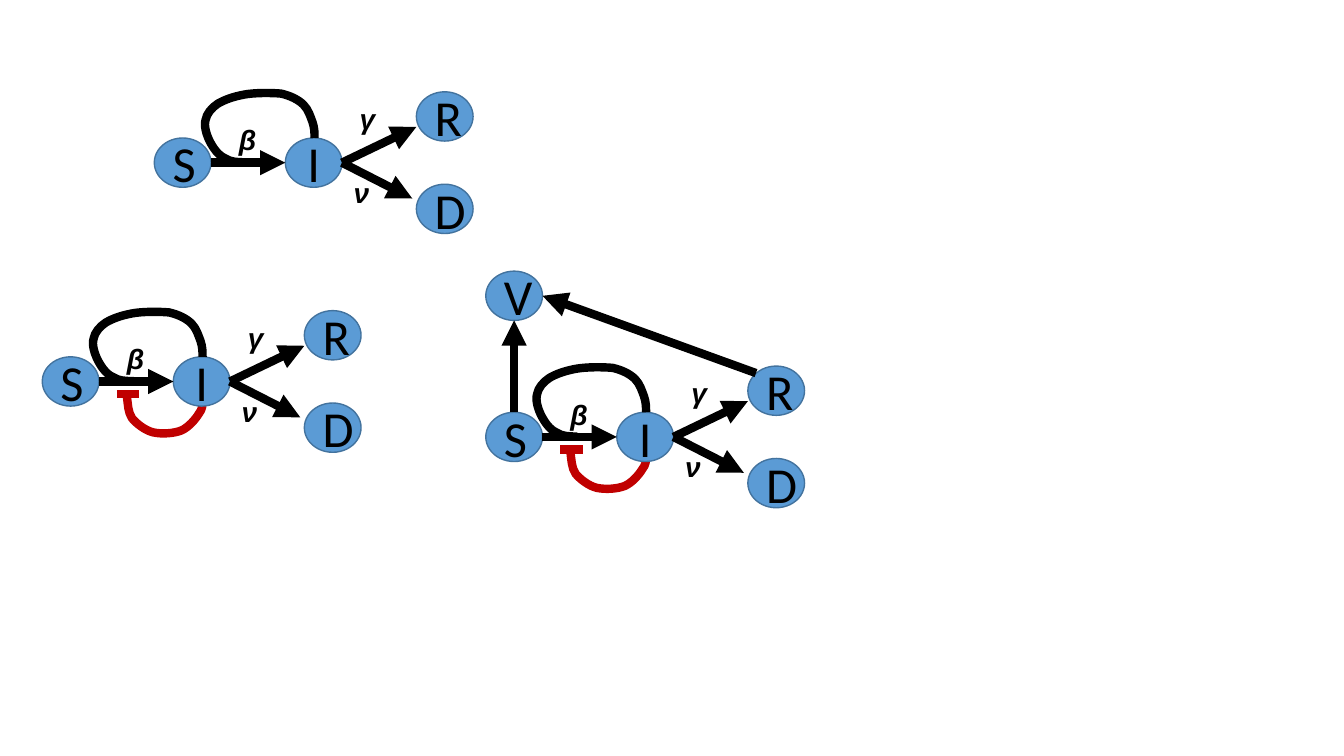
from lxml import etree
from pptx import Presentation
from pptx.dml.color import RGBColor
from pptx.enum.shapes import MSO_CONNECTOR, MSO_SHAPE
from pptx.enum.text import MSO_ANCHOR, MSO_AUTO_SIZE, PP_ALIGN
from pptx.oxml.ns import qn
from pptx.util import Pt

STRAIGHT = MSO_CONNECTOR.STRAIGHT
OVAL = MSO_SHAPE.OVAL
MIDDLE = MSO_ANCHOR.MIDDLE
FIT_SHAPE = MSO_AUTO_SIZE.SHAPE_TO_FIT_TEXT
CENTER = PP_ALIGN.CENTER

BLACK = RGBColor(0x00, 0x00, 0x00)
RED = RGBColor(0xC0, 0x00, 0x00)
BLUE = RGBColor(0x5B, 0x9B, 0xD5)
DARK_BLUE = RGBColor(0x43, 0x73, 0x9E)

# Layout of one model, in points from the top left of its S compartment
NODE_W, NODE_H = 40.5, 35.2
STEP_X, BRANCH_Y = 93.6, 33
MID_Y = NODE_H / 2
VACCINATED_Y = -100.8

# Bezier curves: a start point, then three points per segment
INFECTION_LOOP = [
    (65.5, 17.3),
    (59.8, 17.3), (54.7, 17.3), (50.4, 14.4),
    (45.4, 12.2), (41.8, 6.5), (39.6, 2.2),
    (37.4, -2.2), (35.3, -8.6), (36.7, -13),
    (37.4, -17.3), (41, -21.6), (45.4, -24.5),
    (50.4, -27.4), (56.2, -29.5), (64.1, -31),
    (71.3, -32.4), (83.5, -32.4), (90.7, -31.7),
    (97.2, -30.2), (103, -27.4), (106.6, -23.8),
    (110.2, -20.2), (111.6, -15.1), (113, -11.5),
    (114.5, -7.2), (114.5, -3.6), (114.5, 0),
]
INHIBITION_ARC = [
    (60.5, 28.8),
    (61.2, 33.8), (61.2, 39.6), (64.1, 43.9),
    (67, 47.5), (73.4, 52.6), (79.2, 54),
    (85.7, 55.4), (94.3, 54.7), (99.4, 52.6),
    (104.4, 50.4), (109.4, 44.6), (111.6, 41),
    (114.5, 37.4), (114.5, 34.6), (114.5, 31),
]


class ModelDrawer:
    """Draws compartment models as groups on one slide."""

    node_font, rate_font = "Calibri", "Arial"
    node_size, rate_size = Pt(36), Pt(20)
    stroke = Pt(6)

    def __init__(self, slide):
        self.slide = slide

    def start_model(self, left, top):
        self.left, self.top = left, top
        self.shapes = self.slide.shapes.add_group_shape().shapes

    def point(self, x, y):
        return Pt(self.left + x), Pt(self.top + y)

    def letter_run(self, paragraph, text, font, size):
        run = paragraph.add_run()
        run.text = text
        run.font.name = font
        run.font.size = size
        run.font.color.rgb = BLACK
        return run

    def node(self, letter, x, y):
        oval = self.shapes.add_shape(OVAL, *self.point(x, y), Pt(NODE_W), Pt(NODE_H))
        oval.shadow.inherit = False
        oval.fill.solid()
        oval.fill.fore_color.rgb = BLUE
        oval.line.color.rgb = DARK_BLUE
        oval.line.width = Pt(1)
        oval.text_frame.vertical_anchor = MIDDLE
        paragraph = oval.text_frame.paragraphs[0]
        paragraph.alignment = CENTER
        self.letter_run(paragraph, letter, self.node_font, self.node_size)

    def rate(self, symbol, x, y):
        box = self.shapes.add_textbox(*self.point(x, y), Pt(16), Pt(31.5))
        box.text_frame.word_wrap = True
        box.text_frame.auto_size = FIT_SHAPE
        paragraph = box.text_frame.paragraphs[0]
        run = self.letter_run(paragraph, symbol, self.rate_font, self.rate_size)
        run.font.bold = run.font.italic = True

    def line(self, start, end, color=BLACK, arrow=True):
        link = self.shapes.add_connector(STRAIGHT, *self.point(*start), *self.point(*end))
        link.line.color.rgb = color
        link.line.width = self.stroke
        if arrow:
            etree.SubElement(link.get_or_add_ln(), qn("a:tailEnd"), type="triangle")
        etree.SubElement(link._element.spPr, qn("a:effectLst"))

    def curve(self, points, color=BLACK):
        start, *others = [self.point(*p) for p in points]
        builder = self.shapes.build_freeform(*start)
        builder.add_line_segments(others, close=False)
        outline = builder.convert_to_shape()
        outline.shadow.inherit = False
        outline.fill.background()
        outline.line.color.rgb = color
        outline.line.width = self.stroke
        # Join each three straight segments into one Bezier segment
        segments = list(outline._element.iter(qn("a:lnTo")))
        for index, segment in enumerate(segments):
            parent = segment.getparent()
            if index % 3 == 0:
                bezier = etree.SubElement(parent, qn("a:cubicBezTo"))
            bezier.append(segment[0])
            parent.remove(segment)


def draw_model(drawer, left, top, inhibited=False, vaccinated=False):
    drawer.start_model(left, top)

    # Inhibition of infection
    if inhibited:
        drawer.line((53.3, 26.6), (69.1, 26.6), RED, arrow=False)
        drawer.curve(INHIBITION_ARC, RED)

    # Compartments
    drawer.node("S", 0, 0)
    drawer.node("I", STEP_X, 0)
    drawer.node("R", 2 * STEP_X, -BRANCH_Y)
    drawer.node("D", 2 * STEP_X, BRANCH_Y)

    # Transitions
    infected_exit = (STEP_X + NODE_W, MID_Y)
    drawer.line(infected_exit, (2 * STEP_X, -7.9))
    drawer.line(infected_exit, (184.3, 43.2))
    drawer.line((NODE_W, MID_Y), (STEP_X, MID_Y))
    drawer.curve(INFECTION_LOOP)

    # Rates
    drawer.rate("β", 53.3, -14.4)
    drawer.rate("γ", 139.7, -29.5)
    drawer.rate("ν", 135.4, 23)

    # Vaccination
    if vaccinated:
        drawer.node("V", 0, VACCINATED_Y)
        drawer.line((NODE_W / 2, 0), (NODE_W / 2, VACCINATED_Y + NODE_H))
        drawer.line((193, -28), (NODE_W, VACCINATED_Y + MID_Y))


def main():
    deck = Presentation()
    deck.slide_width, deck.slide_height = Pt(960), Pt(540)
    drawer = ModelDrawer(deck.slides.add_slide(deck.slide_layouts[6]))

    draw_model(drawer, 110.2, 98.6)
    draw_model(drawer, 30.2, 254.9, inhibited=True)
    draw_model(drawer, 347, 294.5, inhibited=True, vaccinated=True)

    deck.save("out.pptx")


if __name__ == "__main__":
    main()
